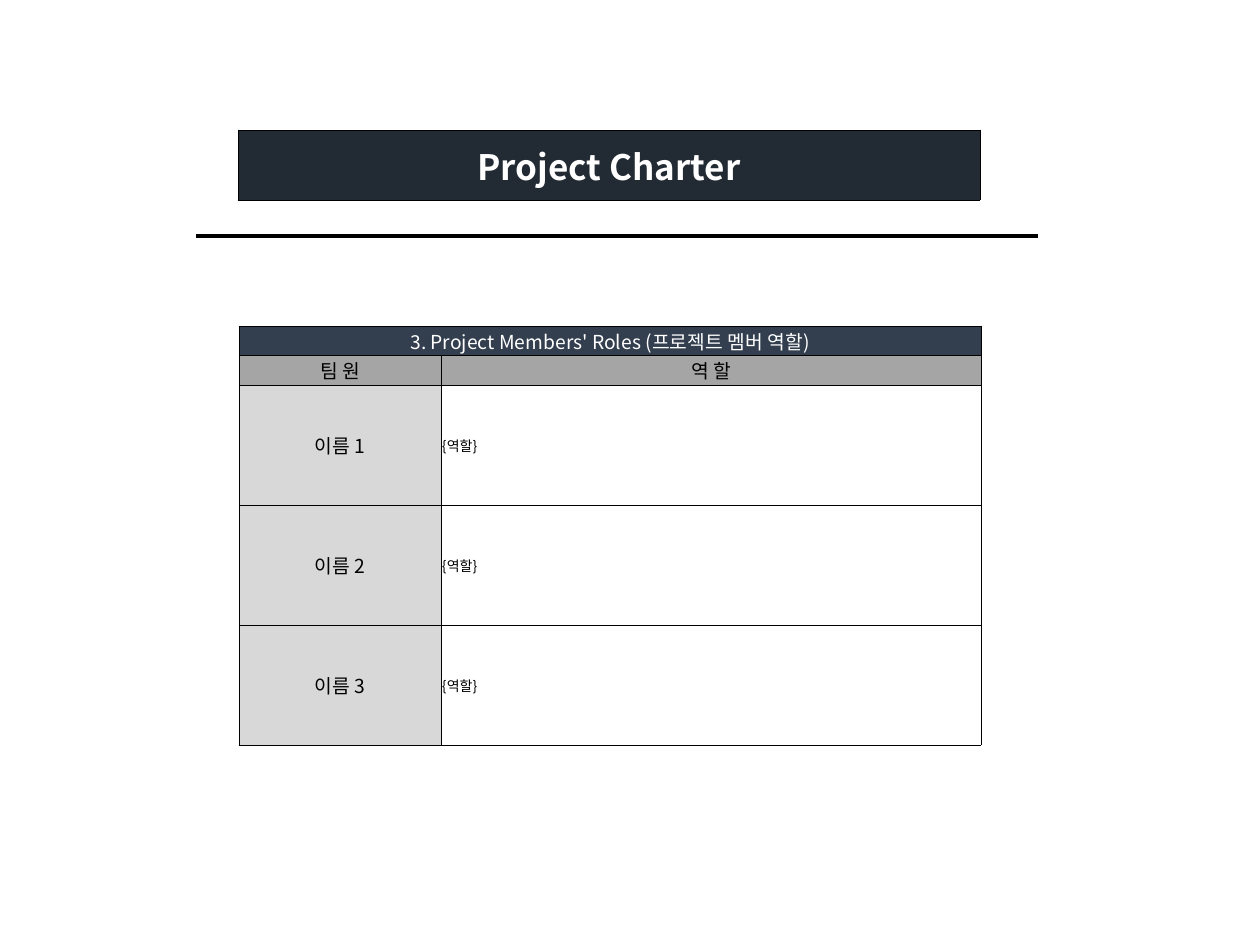
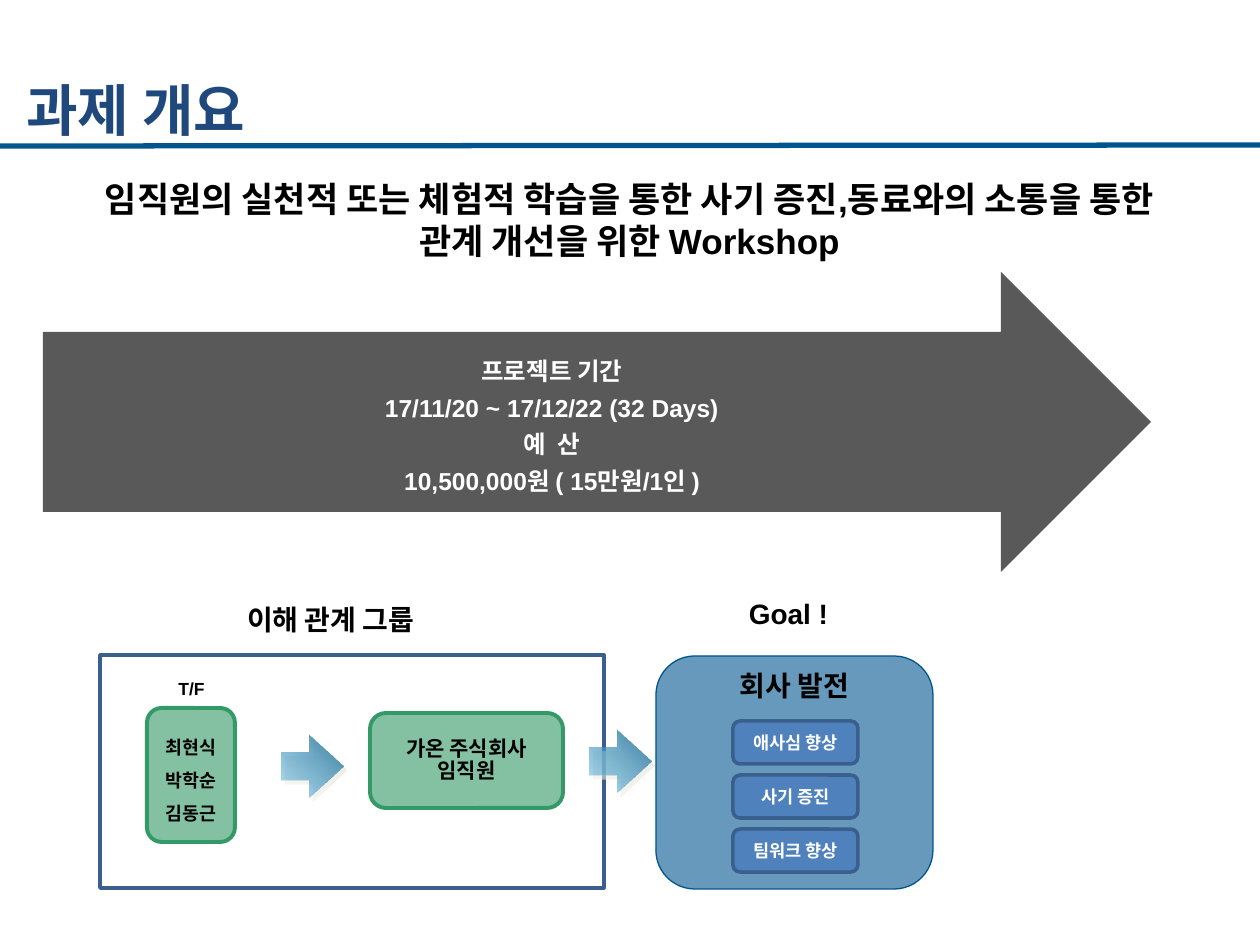
from lxml import etree
from pptx import Presentation
from pptx.dml.color import RGBColor
from pptx.enum.shapes import MSO_CONNECTOR, MSO_SHAPE
from pptx.enum.text import MSO_ANCHOR, PP_ALIGN
from pptx.oxml.ns import qn
from pptx.util import Pt

PX = 914400 / 126
SANS, KOREAN = "Arial", "Noto Sans CJK KR"
LEFT, CENTER = PP_ALIGN.LEFT, PP_ALIGN.CENTER
TOP, MIDDLE = MSO_ANCHOR.TOP, MSO_ANCHOR.MIDDLE
RECT, ROUND = MSO_SHAPE.RECTANGLE, MSO_SHAPE.ROUNDED_RECTANGLE
SOFT, ARROW = MSO_SHAPE.FLOWCHART_ALTERNATE_PROCESS, MSO_SHAPE.RIGHT_ARROW
STRAIGHT = MSO_CONNECTOR.STRAIGHT
TIGHT = 0.87

HUE = {
    "black": "000000", "white": "FFFFFF", "night": "222A34", "slate": "333F4F",
    "gray": "A5A5A5", "pale": "D8D8D8", "coal": "595959", "green": "339966",
    "navy": "00558E", "title": "1F497D", "pill": "4F81BD", "edge": "3A5F8C",
    "sky": "51AEDD", "sea": "3A7C9E", "shade": "EEECE1",
}


def px(n):
    return round(n * PX)


def rgb(name):
    return RGBColor.from_string(HUE[name])


# Text and shapes

def write(frame, lines, size, hue="black", font=SANS, bold=True,
          align=CENTER, space=None):
    frame.text = "\n".join(lines)
    for par in frame.paragraphs:
        par.alignment = align
        if space:
            par.line_spacing = space
        par.font.size = Pt(size)
        par.font.name = font
        par.font.bold = bold
        par.font.color.rgb = rgb(hue)


def label(slide, box, lines, size, anchor=TOP, **style):
    frame = slide.shapes.add_textbox(*map(px, box)).text_frame
    frame.word_wrap = True
    frame.vertical_anchor = anchor
    write(frame, lines, size, **style)


def fade(shape, alpha):
    """Make the first fill colour translucent."""
    color = shape._element.spPr.find(".//" + qn("a:srgbClr"))
    etree.SubElement(color, qn("a:alpha"), val=str(alpha * 1000))


def block(slide, kind, box, fill=None, alpha=None, line=None, width=1):
    shape = slide.shapes.add_shape(kind, *map(px, box))
    shape.shadow.inherit = False
    if fill:
        shape.fill.solid()
        shape.fill.fore_color.rgb = rgb(fill)
        if alpha:
            fade(shape, alpha)
    else:
        shape.fill.background()
    if line:
        shape.line.color.rgb = rgb(line)
        shape.line.width = Pt(width)
    else:
        shape.line.fill.background()
    return shape


def fill_text(shape, lines, size, anchor=MIDDLE, wrap=True, **style):
    shape.text_frame.word_wrap = wrap
    shape.text_frame.vertical_anchor = anchor
    write(shape.text_frame, lines, size, **style)


# Tables

def border(cell, sides, width):
    props = cell._tc.get_or_add_tcPr()
    for side in sides:
        line = etree.SubElement(props, qn("a:ln" + side), w=str(Pt(width)))
        solid = etree.SubElement(line, qn("a:solidFill"))
        etree.SubElement(solid, qn("a:srgbClr"), val=HUE["black"])


def grid(slide, left, top, cols, rows):
    frame = slide.shapes.add_table(len(rows), len(cols), px(left), px(top),
                                   px(sum(cols)), px(sum(rows)))
    table = frame.table
    table.first_row = table.horz_banding = False
    for col, width in zip(table.columns, cols):
        col.width = px(width)
    for row, height in zip(table.rows, rows):
        row.height = px(height)
    return table


def put(cell, text, fill=None, size=11, sides="LRTB", width=0.5, **style):
    border(cell, sides, width)
    if fill:
        cell.fill.solid()
        cell.fill.fore_color.rgb = rgb(fill)
    else:
        cell.fill.background()
    cell.margin_left = cell.margin_right = cell.margin_top = px(1)
    cell.margin_bottom = 0
    cell.vertical_anchor = MIDDLE
    style = {"font": KOREAN, "bold": False, **style}
    write(cell.text_frame, [text], size, **style)
    if not text:
        par = cell.text_frame.paragraphs[0]._p
        etree.SubElement(par, qn("a:endParaRPr"), sz=str(size * 100))


# Slide 1: charter

def banner(slide, left, top):
    table = grid(slide, left, top, [742], [70])
    put(table.cell(0, 0), "Project Charter", "night", 20, hue="white", bold=True)


def rule(slide, left, top):
    cols = [84, 154] + [84] * 4 + [98, 84, 84]
    table = grid(slide, left, top, cols, [28, 28])
    for row, side in enumerate("BT"):
        for col in range(len(cols)):
            put(table.cell(row, col), "", size=8, sides=side, width=2)


def roles(slide, left, top):
    table = grid(slide, left, top, [202, 540], [29, 30] + [120] * 3)
    head = table.cell(0, 0)
    head.merge(table.cell(0, 1))
    put(head, "3. Project Members' Roles (프로젝트 멤버 역할)", "slate", hue="white")
    border(table.cell(0, 1), "RTB", 0.5)
    for col, text in enumerate(["팀 원", "역 할"]):
        put(table.cell(1, col), text, "gray")
    for num in range(1, 4):
        put(table.cell(num + 1, 0), f"이름 {num}", "pale")
        put(table.cell(num + 1, 1), "{역할}", size=8, align=LEFT)


def charter(slide):
    banner(slide, 238, 130)
    rule(slide, 197, 208)
    roles(slide, 239, 326)


# Slide 2: overview

def header(slide):
    line = slide.shapes.add_connector(STRAIGHT, 0, px(146), px(1261), px(145))
    line.line.color.rgb = rgb("navy")
    line.line.width = Pt(3)
    etree.SubElement(line._element.spPr, qn("a:effectLst"))
    label(slide, (14, 48, 1223, 122), ["과제 개요"], 32, MIDDLE,
          hue="title", font=KOREAN, align=LEFT)


def period(slide, box):
    arrow = block(slide, ARROW, box, "coal")
    arrow.adjustments[0], arrow.adjustments[1] = 0.6, 0.5
    # Spacing keeps all four lines inside the shaft
    fill_text(arrow, ["프로젝트 기간", "17/11/20 ~ 17/12/22 (32 Days)", "예  산",
                      "10,500,000원 ( 15만원/1인 )"],
              14, hue="white", space=1.25)


def step(slide, left, top):
    """Small shaded arrow with a hard shadow."""
    arrow = block(slide, ARROW, (left, top, 61, 63))
    arrow.adjustments[0], arrow.adjustments[1] = 0.44, 0.56
    arrow.fill.gradient()
    arrow.fill.gradient_angle = 45
    for stop, name in zip(arrow.fill.gradient_stops, ["sky", "sea"]):
        stop.color.rgb = rgb(name)
    fade(arrow, 43)
    effects = arrow._element.spPr.find(qn("a:effectLst"))
    shadow = etree.SubElement(effects, qn("a:outerShdw"), dist=str(Pt(2.8)),
                              dir="2700000", algn="ctr", rotWithShape="0")
    etree.SubElement(shadow, qn("a:srgbClr"), val=HUE["shade"])


def groups(slide, box):
    x, y, _, _ = box
    label(slide, (x + 107, y - 54, 247, 43), ["이해 관계 그룹"], 16, space=TIGHT)
    block(slide, RECT, box, line="edge", width=2)
    cards = [
        ((x + 47, y + 53, 88, 134), ["최현식", "박학순", "김동근"], 10.5, 1.5),
        ((x + 270, y + 58, 193, 95), ["가온 주식회사", "임직원"], 12, TIGHT),
    ]
    for place, lines, size, space in cards:
        card = block(slide, SOFT, place, "green", 60, "green", 2.25)
        fill_text(card, lines, size, wrap=False, space=space)
    step(slide, x + 182, y + 80)
    step(slide, x + 490, y + 75)
    label(slide, (x + 39, y + 20, 105, 32), ["T/F"], 10, space=TIGHT)


def goal(slide, box):
    x, y, w, _ = box
    label(slide, (x - 6, y - 61, w, 43), ["Goal !"], 16, space=TIGHT)
    panel = block(slide, SOFT, box, "navy", 60, "navy", 0.75)
    fill_text(panel, ["회사 발전"], 16, TOP, False, space=TIGHT)
    for num, text in enumerate(["애사심 향상", "사기 증진", "팀워크 향상"]):
        pill = block(slide, ROUND, (x + 77, y + 65 + 54 * num, 125, 43),
                     "pill", line="edge", width=2)
        fill_text(pill, [text], 10, hue="white")


def overview(slide):
    label(slide, (-1, 171, 1261, 123),
          ["임직원의 실천적 또는 체험적 학습을 통한 사기 증진,동료와의 소통을 통한",
           "관계 개선을 위한 Workshop"], 20)
    groups(slide, (100, 655, 504, 233))
    goal(slide, (656, 656, 277, 233))
    period(slide, (43, 272, 1108, 300))
    header(slide)


def main():
    deck = Presentation()
    deck.slide_width, deck.slide_height = px(1260), px(945)
    for build in (charter, overview):
        build(deck.slides.add_slide(deck.slide_layouts[6]))
    deck.save("out.pptx")


if __name__ == "__main__":
    main()
